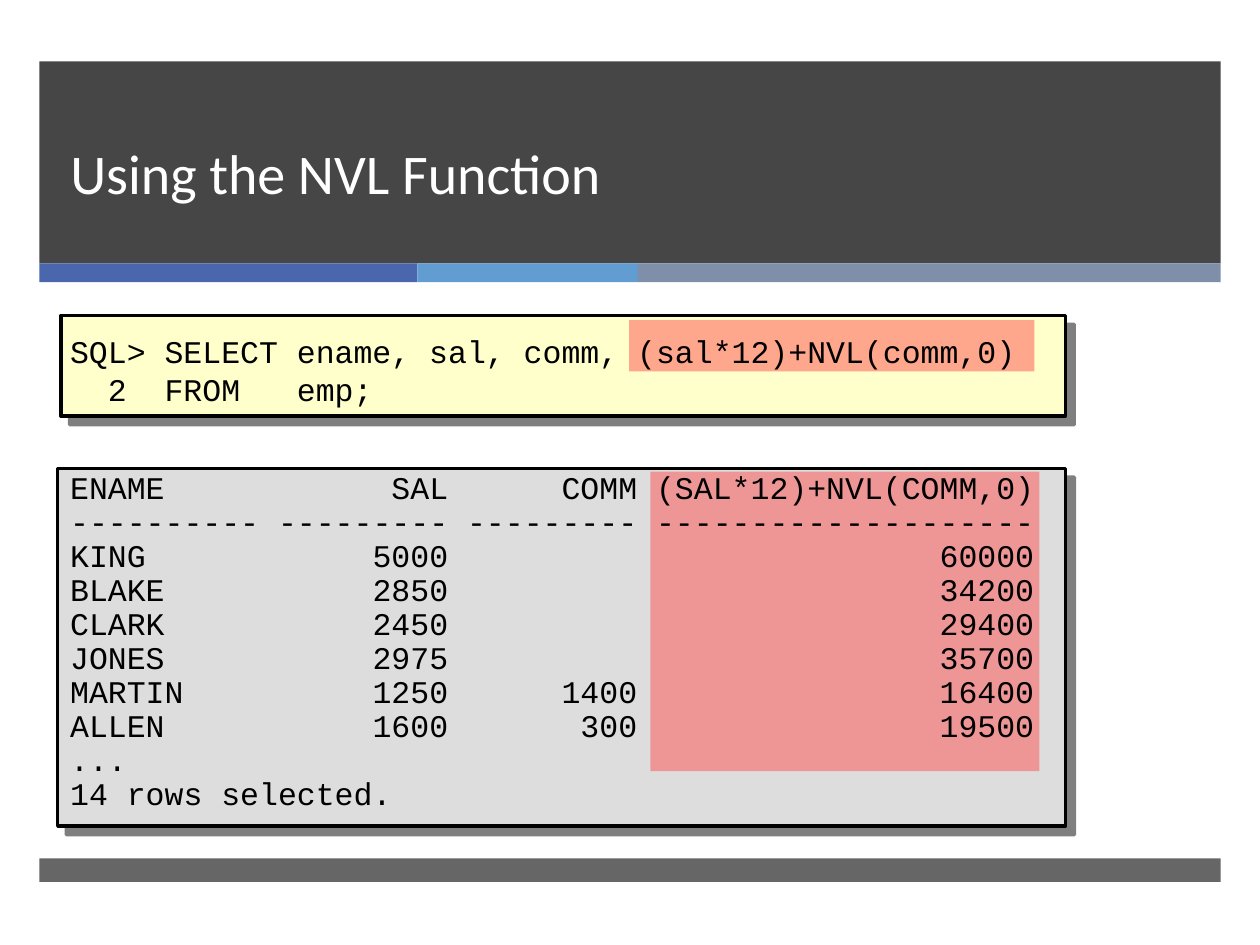
"""Build a slide on the SQL NVL function with a query and its result."""
from lxml import etree
from pptx import Presentation
from pptx import util as u
from pptx.dml import color
from pptx.enum import shapes, text
from pptx.oxml import ns

COLOURS = {
    "dark": "262626", "blue": "4A66AC", "sky": "629DD1", "slate": "7F8FA9",
    "query": "FFFFCC", "result": "DDDDDD", "highlight": "FF5050",
    "ink": "000000", "white": "FFFFFF",
}
QUERY = [
    "SQL> SELECT ename, sal, comm, (sal*12)+NVL(comm,0)",
    "  2  FROM   emp;",
]
WIDTHS = (10, 9, 9, 20)
EMPLOYEES = [
    ("KING", 5000, "", 60000),
    ("BLAKE", 2850, "", 34200),
    ("CLARK", 2450, "", 29400),
    ("JONES", 2975, "", 35700),
    ("MARTIN", 1250, 1400, 16400),
    ("ALLEN", 1600, 300, 19500),
]


def result_lines():
    """Return the console output, with names left and numbers right."""
    rows = [("ENAME", "SAL", "COMM", "(SAL*12)+NVL(COMM,0)"),
            tuple("-" * width for width in WIDTHS), *EMPLOYEES]
    lines = []
    for name, *values in rows:
        cells = [f"{name:<{WIDTHS[0]}}"]
        cells += [f"{value:>{width}}" for value, width in zip(values, WIDTHS[1:])]
        lines.append(" ".join(cells))
    return lines + ["...", "14 rows selected."]


class SlideBuilder:
    """Hold the slide and its style, and add elements in points."""

    title_font, code_font = "Calibri", "Courier New"
    title_size, code_size = 32, 18

    def __init__(self, slide):
        """Keep the slide to build on."""
        self.slide = slide

    def rgb(self, name):
        """Return a named colour."""
        return color.RGBColor.from_string(COLOURS[name])

    def style(self, font, face, size, colour):
        """Set face, size and colour of a font."""
        font.name, font.size = face, u.Pt(size)
        font.color.rgb = self.rgb(colour)

    def block(self, left, top, width, height, colour, opacity=100):
        """Add a plain rectangle, see-through if opacity is below 100."""
        box = self.slide.shapes.add_shape(
            shapes.MSO_SHAPE.RECTANGLE, *map(u.Pt, (left, top, width, height)))
        box.fill.solid()
        box.fill.fore_color.rgb = self.rgb(colour)
        box.line.fill.background()
        box.shadow.inherit = False
        if opacity < 100:
            fill = box.element.spPr.find(ns.qn("a:solidFill"))
            etree.SubElement(fill[0], ns.qn("a:alpha"), val=str(opacity * 1000))
        return box

    def panel(self, left, top, width, height, colour):
        """Add an outlined rectangle with a hard shadow."""
        box = self.block(left, top, width, height, colour)
        box.line.color.rgb = self.rgb("ink")
        box.line.width = u.Pt(2)
        effects = box.element.spPr.find(ns.qn("a:effectLst"))
        shadow = etree.SubElement(
            effects, ns.qn("a:outerShdw"), blurRad="0", dist=str(u.Pt(7.1)),
            dir="2700000", algn="ctr", rotWithShape="0")
        tint = etree.SubElement(shadow, ns.qn("a:srgbClr"), val=COLOURS["ink"])
        etree.SubElement(tint, ns.qn("a:alpha"), val="50000")

    def title(self, left, top, width, height, words):
        """Place the title in front of the band."""
        box = self.slide.shapes.title
        box.element.getparent().append(box.element)
        box.left, box.top, box.width, box.height = map(
            u.Pt, (left, top, width, height))
        frame = box.text_frame
        frame.text = words
        frame.vertical_anchor = text.MSO_ANCHOR.BOTTOM
        frame.auto_size = text.MSO_AUTO_SIZE.NONE
        para = frame.paragraphs[0]
        para.alignment = text.PP_ALIGN.LEFT
        para.line_spacing = u.Pt(46)
        self.style(para.font, self.title_font, self.title_size, "white")

    def code(self, left, top, width, height, lines, wrap=True,
             anchor=text.MSO_ANCHOR.TOP, spacing=1.0):
        """Add lines of monospaced text."""
        box = self.slide.shapes.add_textbox(
            *map(u.Pt, (left, top, width, height)))
        frame = box.text_frame
        frame.text = "\n".join(lines)
        frame.word_wrap = wrap
        frame.vertical_anchor = anchor
        for para in frame.paragraphs:
            para.line_spacing = spacing
            self.style(para.font, self.code_font, self.code_size, "ink")


def main():
    """Build and save the deck."""
    deck = Presentation()
    deck.slide_width, deck.slide_height = u.Pt(720), u.Pt(540)
    page = SlideBuilder(deck.slides.add_slide(deck.slide_layouts[5]))

    margin, band_width = 22.5, 675
    page.block(margin, 35, band_width, 115.5, "dark", 85)
    left = margin
    for width, colour in ((216, "blue"), (126, "sky"), (333, "slate")):
        page.block(left, 150.5, width, 10.8, colour)
        left += width
    page.block(margin, 490.5, band_width, 13.5, "dark", 70)
    page.title(33, 35, 615, 86, "Using the NVL Function")

    page.panel(34.8, 180.3, 574, 57.4, "query")
    page.panel(33, 267.7, 576, 204.3, "result")
    page.block(359.5, 183, 231.6, 29.3, "highlight", 50)
    page.block(371.7, 269.5, 222.3, 171.2, "highlight", 50)
    page.code(33, 172.3, 576, 78.5, QUERY, wrap=False,
              anchor=text.MSO_ANCHOR.MIDDLE)
    page.code(33, 266.4, 574, 202.3, result_lines(), spacing=0.9)

    deck.save("out.pptx")


if __name__ == "__main__":
    main()
